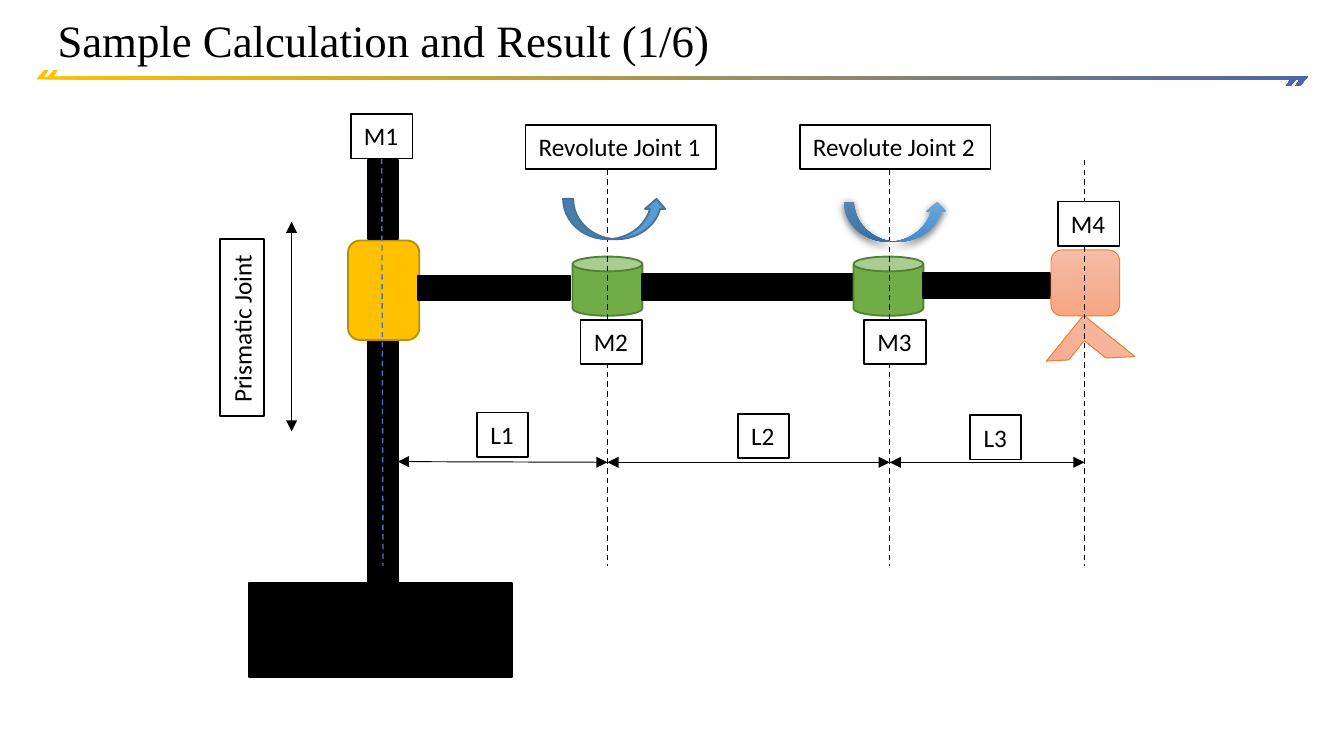
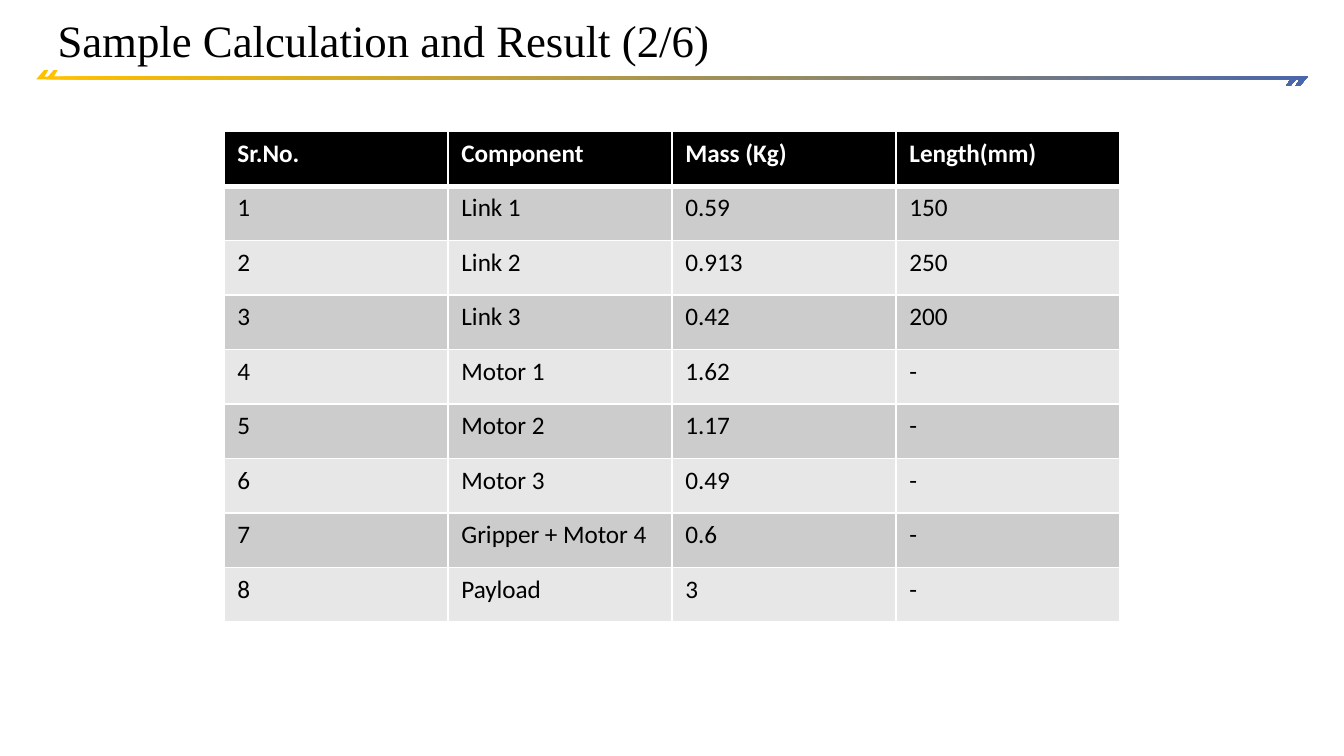
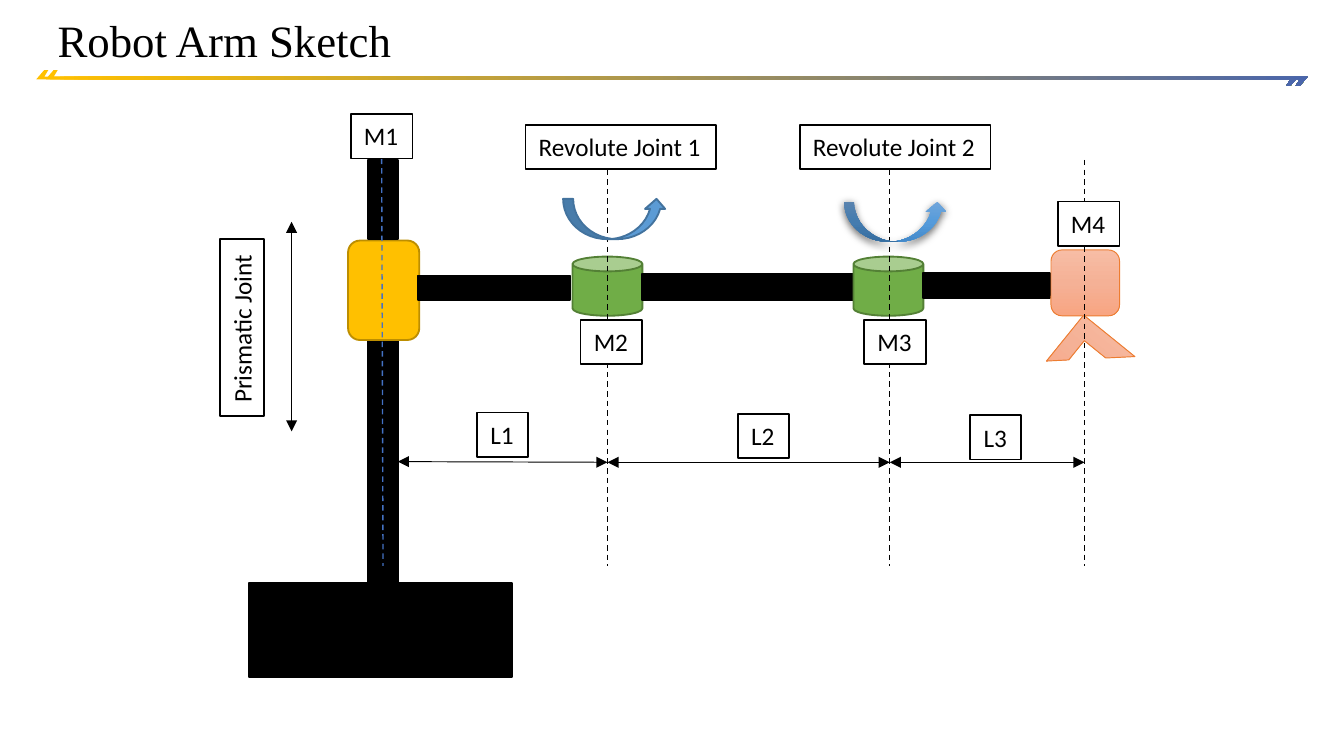
from dataclasses import dataclass
from typing import Optional, Union

from lxml.etree import SubElement
from pptx import Presentation
from pptx.dml.color import RGBColor
from pptx.enum.dml import MSO_LINE
from pptx.enum.shapes import MSO_CONNECTOR, MSO_SHAPE
from pptx.enum.text import MSO_ANCHOR, MSO_AUTO_SIZE
from pptx.oxml.ns import qn
from pptx.util import Inches, Pt

GRID_COLUMNS = 100
GRID_ROWS = 56.25
SLIDE_WIDTH = Inches(10)
SLIDE_HEIGHT = Inches(5.625)


@dataclass(frozen=True)
class Gradient:
    colors: tuple[str, ...]
    angle: int = 90


Paint = Union[str, Gradient, None]


@dataclass(frozen=True)
class Theme:
    title_font: str = "Times New Roman"
    body_font: str = "Calibri"
    title_size: float = 24
    body_size: float = 13.5
    outline: float = 1
    axis_line: float = 0.75
    thin_line: float = 0.5
    header_rule: float = 3
    ink: str = "000000"
    paper: str = "FFFFFF"
    band: Gradient = Gradient(("FFC000", "4A66AC"), 0)
    slider: str = "FFC000"
    slider_edge: str = "BD8E00"
    motor: str = "70AD47"
    motor_edge: str = "538035"
    gripper: Gradient = Gradient(("F7BDA5", "F5B196", "F8A582"))
    gripper_edge: str = "ED7D31"
    turn: str = "5B9BD5"
    turn_edge: str = "43739E"
    shaded_turn: Gradient = Gradient(("71A6DB", "559BDB", "448ACA"))
    column_axis: str = "4472C4"
    table_rows: tuple[str, str] = ("CCCCCC", "E7E7E7")


THEME = Theme()


@dataclass(frozen=True)
class Box:
    column: float
    row: float
    columns: float
    rows: float

    def lengths(self) -> tuple[int, int, int, int]:
        return across(self.column), down(self.row), across(self.columns), down(self.rows)


@dataclass(frozen=True)
class Part:
    name: str
    kind: MSO_SHAPE
    box: Box
    fill: Paint = THEME.ink
    edge: Optional[str] = THEME.ink
    edge_width: float = THEME.outline
    rotation: float = 0
    adjustments: tuple[float, ...] = ()
    shaded: bool = False


@dataclass(frozen=True)
class Label:
    text: str
    column: float
    row: float
    columns: float
    rotation: float = 0


@dataclass(frozen=True)
class Line:
    start: tuple[float, float]
    end: tuple[float, float]
    width: float = THEME.thin_line
    color: str = THEME.ink
    dashed: bool = False
    joined_to: Optional[str] = None
    side: int = 0


COLUMN_AXIS, JOINT_1_AXIS, JOINT_2_AXIS, GRIPPER_AXIS = 28.5, 45.2, 66.2, 80.7
AXIS_TOP, AXIS_BOTTOM = 11.9, 42.1
DIMENSION_ROW = 34.4
LABEL_ROWS = 3.3
MOTOR_LABEL, LINK_LABEL, JOINT_LABEL = 4.6, 3.8, 14.2

PARTS = (
    Part("base", MSO_SHAPE.RECTANGLE, Box(18.5, 43.4, 19.6, 7)),
    Part("lower column", MSO_SHAPE.RECTANGLE, Box(27.4, 25.3, 2.2, 18.1)),
    Part("slider", MSO_SHAPE.ROUNDED_RECTANGLE, Box(25.9, 17.9, 5.3, 7.4),
         THEME.slider, THEME.slider_edge),
    Part("upper column", MSO_SHAPE.RECTANGLE, Box(27.4, 11.9, 2.2, 5.9)),
    Part("link 1", MSO_SHAPE.RECTANGLE, Box(31.1, 20.5, 11.3, 1.8)),
    Part("motor 2", MSO_SHAPE.CAN, Box(42.6, 19.1, 5.2, 4.4), THEME.motor, THEME.motor_edge),
    Part("link 2", MSO_SHAPE.RECTANGLE, Box(47.8, 20.4, 15.7, 1.9)),
    Part("motor 3", MSO_SHAPE.CAN, Box(63.5, 19.1, 5.2, 4.4), THEME.motor, THEME.motor_edge),
    Part("link 3", MSO_SHAPE.RECTANGLE, Box(68.7, 20.3, 9.4, 1.9)),
    Part("gripper jaws", MSO_SHAPE.HALF_FRAME, Box(78.7, 24.5, 4.9, 4.4),
         THEME.gripper, THEME.gripper_edge, THEME.thin_line, 39, (0.33, 0.28)),
    Part("gripper", MSO_SHAPE.ROUNDED_RECTANGLE, Box(78.2, 18.6, 5.1, 4.9),
         THEME.gripper, THEME.gripper_edge, THEME.thin_line),
)

TURNS = (
    Part("turn 1", MSO_SHAPE.CURVED_UP_ARROW, Box(41.9, 14.8, 7.7, 3),
         THEME.turn, THEME.turn_edge),
    Part("turn 2", MSO_SHAPE.CURVED_UP_ARROW, Box(62.8, 15, 7.7, 3),
         THEME.shaded_turn, None, shaded=True),
)


def axis(column: float, color: str = THEME.ink, joined_to: Optional[str] = None,
         side: int = 0) -> Line:
    return Line((column, AXIS_TOP), (column, AXIS_BOTTOM), THEME.axis_line, color, True,
                joined_to, side)


AXES = (
    axis(JOINT_1_AXIS),
    axis(JOINT_2_AXIS),
    axis(COLUMN_AXIS, THEME.column_axis, "M1", 2),
    axis(GRIPPER_AXIS),
)

DIMENSIONS = (
    Line((21.7, 16.5), (21.7, 32.1)),
    Line((29.6, DIMENSION_ROW), (JOINT_1_AXIS, DIMENSION_ROW),
         joined_to="lower column", side=3),
    Line((JOINT_2_AXIS, DIMENSION_ROW), (GRIPPER_AXIS, DIMENSION_ROW)),
    Line((JOINT_1_AXIS, DIMENSION_ROW), (JOINT_2_AXIS, DIMENSION_ROW)),
)

LABELS = (
    Label("Prismatic Joint", 11.4, 22.7, 13.2, 270),
    Label("Revolute Joint 1", 39.1, 9.3, JOINT_LABEL),
    Label("Revolute Joint 2", 59.5, 9.3, JOINT_LABEL),
    Label("L1", 35.5, 30.7, LINK_LABEL),
    Label("L3", 72.2, 30.9, LINK_LABEL),
    Label("L2", 54.9, 30.8, LINK_LABEL),
    Label("M1", 26.1, 8.5, MOTOR_LABEL),
    Label("M2", 43.2, 23.8, MOTOR_LABEL),
    Label("M3", 64.3, 23.8, MOTOR_LABEL),
    Label("M4", 78.7, 15, MOTOR_LABEL),
)

COMPONENTS = (
    ("Sr.No.", "Component", "Mass (Kg)", "Length(mm)"),
    ("1", "Link 1", "0.59", "150"),
    ("2", "Link 2", "0.913", "250"),
    ("3", "Link 3", "0.42", "200"),
    ("4", "Motor 1", "1.62", "-"),
    ("5", "Motor 2", "1.17", "-"),
    ("6", "Motor 3", "0.49", "-"),
    ("7", "Gripper + Motor 4", "0.6", "-"),
    ("8", "Payload", "3", "-"),
)

BAND_HALF = ((3.3, 5.2), (3.6, 5.2), (3.3, 5.7), (96.3, 5.7), (96.6, 5.7))
BAND_SPAN, BAND_DEPTH = 99.3, 11.6
BAND_OFFSETS = (0, 0.7)


def across(columns: float) -> int:
    return round(SLIDE_WIDTH * columns / GRID_COLUMNS)


def down(rows: float) -> int:
    return round(SLIDE_HEIGHT * rows / GRID_ROWS)


def paint(shape, fill: Paint, edge: Optional[str] = None, width: float = THEME.outline) -> None:
    if isinstance(fill, Gradient):
        shape.fill.gradient()
        shape.fill.gradient_angle = -fill.angle % 360
        stops = shape.element.spPr.find(qn("a:gradFill")).find(qn("a:gsLst"))
        for stop in list(stops):
            stops.remove(stop)
        for index, color in enumerate(fill.colors):
            position = 100000 * index // (len(fill.colors) - 1)
            stop = SubElement(stops, qn("a:gs"), pos=str(position))
            SubElement(stop, qn("a:srgbClr"), val=color)
    else:
        shape.fill.solid()
        shape.fill.fore_color.rgb = RGBColor.from_string(fill)
    if edge:
        shape.line.color.rgb = RGBColor.from_string(edge)
        shape.line.width = Pt(width)
    else:
        shape.line.fill.background()
    shape.shadow.inherit = False


def add_run(paragraph, text: str, font: str, size: float, color: str = THEME.ink,
            bold: bool = False) -> None:
    run = paragraph.add_run()
    run.text = text
    run.font.name = font
    run.font.size = Pt(size)
    run.font.bold = bold
    run.font.color.rgb = RGBColor.from_string(color)


def add_part(slide, part: Part):
    shape = slide.shapes.add_shape(part.kind, *part.box.lengths())
    for index, value in enumerate(part.adjustments):
        shape.adjustments[index] = value
    shape.rotation = part.rotation
    paint(shape, part.fill, part.edge, part.edge_width)
    if part.shaded:
        effects = shape.element.spPr.find(qn("a:effectLst"))
        shadow = SubElement(effects, qn("a:outerShdw"), blurRad=str(Pt(4.5)),
                            dist=str(Pt(1.5)), dir="5400000", rotWithShape="0")
        color = SubElement(shadow, qn("a:srgbClr"), val=THEME.ink)
        SubElement(color, qn("a:alpha"), val="63000")
    return shape


def add_label(slide, label: Label):
    box = Box(label.column, label.row, label.columns, LABEL_ROWS)
    shape = slide.shapes.add_textbox(*box.lengths())
    shape.rotation = label.rotation
    paint(shape, THEME.paper, THEME.ink)
    frame = shape.text_frame
    frame.word_wrap = False
    frame.auto_size = MSO_AUTO_SIZE.SHAPE_TO_FIT_TEXT
    add_run(frame.paragraphs[0], label.text, THEME.body_font, THEME.body_size)
    return shape


def add_line(slide, line: Line):
    connector = slide.shapes.add_connector(
        MSO_CONNECTOR.STRAIGHT, across(line.start[0]), down(line.start[1]),
        across(line.end[0]), down(line.end[1]))
    connector.line.color.rgb = RGBColor.from_string(line.color)
    connector.line.width = Pt(line.width)
    properties = connector.element.spPr
    if line.dashed:
        connector.line.dash_style = MSO_LINE.DASH
    else:
        outline = properties.find(qn("a:ln"))
        for end in ("a:headEnd", "a:tailEnd"):
            SubElement(outline, qn(end), type="triangle")
    SubElement(properties, qn("a:effectLst"))
    return connector


def add_band(slide) -> None:
    mirrored = tuple((BAND_SPAN - column, BAND_DEPTH - row) for column, row in BAND_HALF)
    for offset in BAND_OFFSETS:
        points = [(across(column + offset), down(row)) for column, row in BAND_HALF + mirrored]
        builder = slide.shapes.build_freeform(*points[0])
        builder.add_line_segments(points[1:], close=True)
        paint(builder.convert_to_shape(), THEME.band)


def add_titled_slide(presentation, title: str):
    slide = presentation.slides.add_slide(presentation.slide_layouts[6])
    add_band(slide)
    frame = slide.shapes.add_textbox(*Box(3.3, 0, 93.3, 5.5).lengths()).text_frame
    frame.word_wrap = True
    frame.vertical_anchor = MSO_ANCHOR.BOTTOM
    paragraph = frame.paragraphs[0]
    paragraph.line_spacing = 0.9
    add_run(paragraph, title, THEME.title_font, THEME.title_size)
    return slide


def add_robot_slide(presentation, title: str) -> None:
    slide = add_titled_slide(presentation, title)
    shapes = {part.name: add_part(slide, part) for part in PARTS}
    connectors = [(line, add_line(slide, line)) for line in AXES]
    for turn in TURNS:
        add_part(slide, turn)
    connectors += [(line, add_line(slide, line)) for line in DIMENSIONS]
    shapes.update({label.text: add_label(slide, label) for label in LABELS})
    for line, connector in connectors:
        if line.joined_to:
            connector.begin_connect(shapes[line.joined_to], line.side)


def add_cell_borders(cell, bottom_width: float) -> None:
    properties = cell._tc.get_or_add_tcPr()
    widths = (("a:lnL", THEME.outline), ("a:lnR", THEME.outline),
              ("a:lnT", THEME.outline), ("a:lnB", bottom_width))
    for position, (side, width) in enumerate(widths):
        border = SubElement(properties, qn(side), w=str(Pt(width)))
        fill = SubElement(border, qn("a:solidFill"))
        SubElement(fill, qn("a:srgbClr"), val=THEME.paper)
        properties.insert(position, border)


def add_component_slide(presentation, title: str) -> None:
    slide = add_titled_slide(presentation, title)
    box = Box(16.67, 9.8, 66.67, 36.5)
    table = slide.shapes.add_table(len(COMPONENTS), len(COMPONENTS[0]), *box.lengths()).table
    for row_index, values in enumerate(COMPONENTS):
        header = row_index == 0
        fill = THEME.ink if header else THEME.table_rows[(row_index - 1) % 2]
        for column_index, value in enumerate(values):
            cell = table.cell(row_index, column_index)
            cell.fill.solid()
            cell.fill.fore_color.rgb = RGBColor.from_string(fill)
            add_cell_borders(cell, THEME.header_rule if header else THEME.outline)
            if row_index == 1:
                cell._tc.tcPr.find(qn("a:lnT")).set("w", str(Pt(THEME.header_rule)))
            add_run(cell.text_frame.paragraphs[0], value, THEME.body_font, THEME.body_size,
                    THEME.paper if header else THEME.ink, header)


def main() -> None:
    presentation = Presentation()
    presentation.slide_width = SLIDE_WIDTH
    presentation.slide_height = SLIDE_HEIGHT
    add_robot_slide(presentation, "Sample Calculation and Result (1/6)")
    add_component_slide(presentation, "Sample Calculation and Result (2/6)")
    add_robot_slide(presentation, "Robot Arm Sketch")
    presentation.save("out.pptx")


if __name__ == "__main__":
    main()
